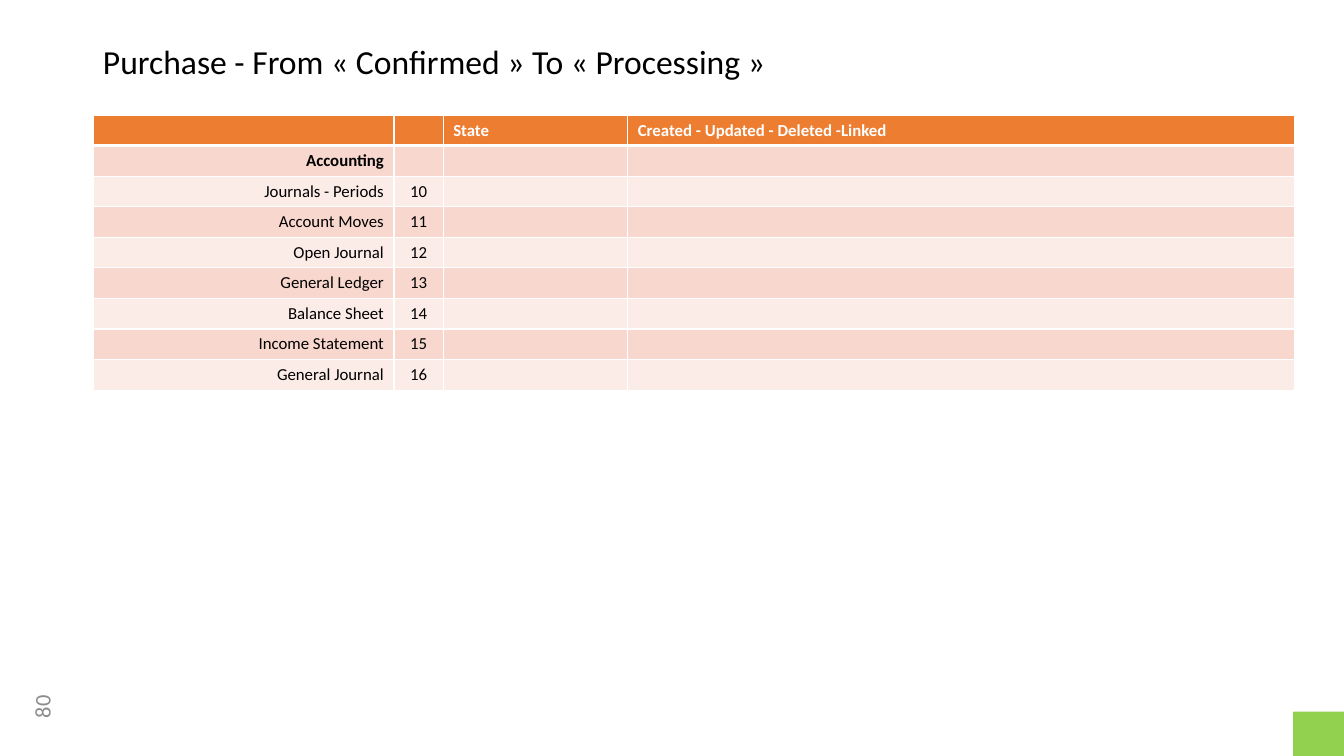
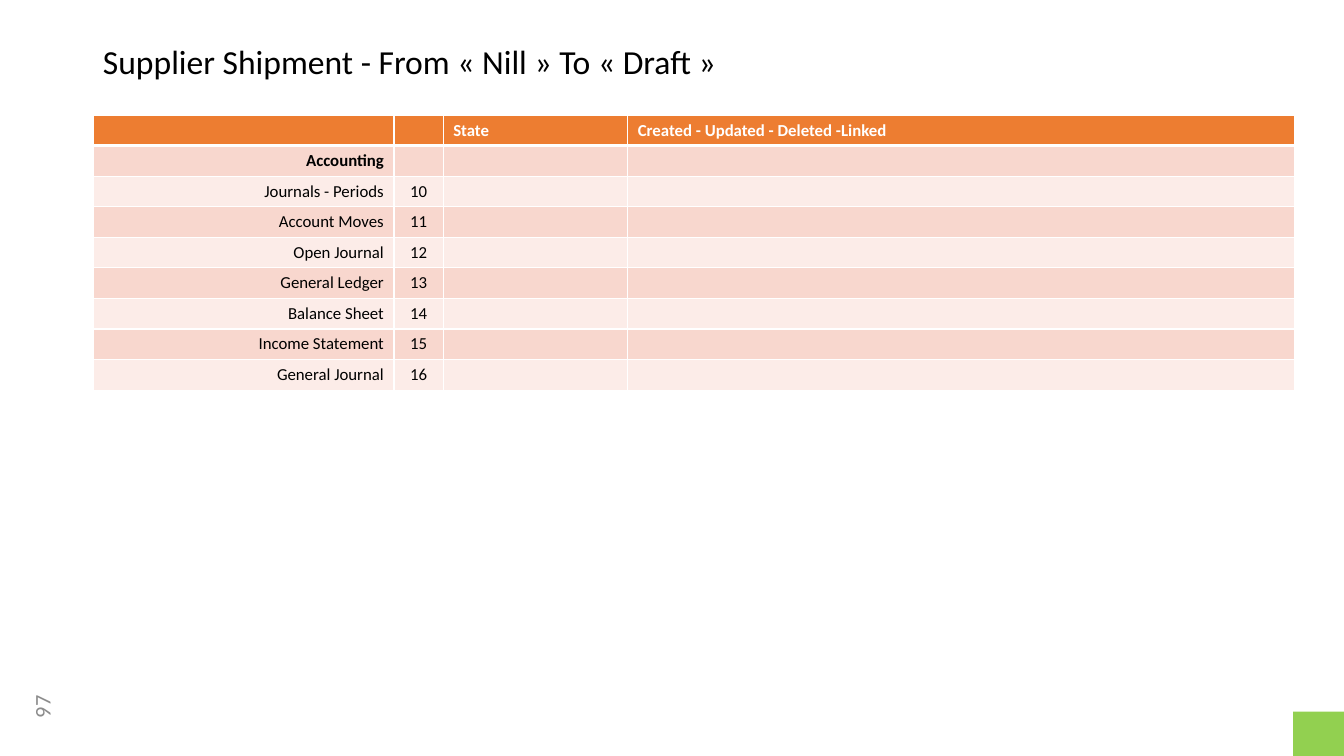
from lxml.etree import SubElement
from pptx import Presentation
from pptx.dml.color import RGBColor
from pptx.enum.shapes import MSO_SHAPE
from pptx.enum.text import MSO_ANCHOR, MSO_AUTO_SIZE, PP_ALIGN
from pptx.oxml.ns import qn
from pptx.util import Cm, Pt

FONT = "Calibri"
BLACK, WHITE, GREY = "000000", "FFFFFF", "8C8C8C"
ORANGE, GREEN = "ED7D31", "92D050"
BANDS = ["F8D7CE", "FCECE8"]

WIDTH, HEIGHT = 33.87, 19.05
TITLE = (2.34, 1.02, 29.21, 1.3)
GRID = (2.36, 2.9, 30.27, 6.93)
NUMBER = (0.1, 17.3, 1.9, 1.02)
CORNER = (WIDTH - 1.28, HEIGHT - 1.12, 1.28, 1.12)
COLS = [7.57, 1.24, 4.65, 16.81]
ALIGNS = [PP_ALIGN.RIGHT, PP_ALIGN.CENTER, PP_ALIGN.LEFT, PP_ALIGN.LEFT]

HEADS = ["", "", "State", "Created - Updated - Deleted -Linked"]
NAMES = ["Journals - Periods", "Account Moves", "Open Journal", "General Ledger",
         "Balance Sheet", "Income Statement", "General Journal"]
ROWS = [HEADS, ["Accounting", "", "", ""]]
ROWS += [[name, str(num), "", ""] for num, name in enumerate(NAMES, 10)]

PAGES = [
    ("Purchase - From « Confirmed » To « Processing »", "80"),
    ("Supplier Shipment - From « Nill » To « Draft »", "97"),
]


def paint(fmt, color):
    if hasattr(fmt, "solid"):
        fmt.solid()
        fmt = fmt.fore_color
    fmt.rgb = RGBColor.from_string(color)


def place(box):
    return [Cm(size) for size in box]


def write(frame, text, size=12, color=BLACK, bold=False, align=PP_ALIGN.LEFT,
          anchor=MSO_ANCHOR.TOP, space=None):
    frame.word_wrap = True
    frame.vertical_anchor = anchor
    para = frame.paragraphs[0]
    para.alignment = align
    if space:
        para.line_spacing = space
    if not text:
        SubElement(para._p, qn("a:endParaRPr"), sz=str(size * 100))
        return
    run = para.add_run()
    run.text = text
    run.font.name = FONT
    run.font.size = Pt(size)
    run.font.bold = bold
    paint(run.font.color, color)


def edge(cell, top, base):
    props = cell._tc.get_or_add_tcPr()
    for side, width in (("L", 1), ("R", 1), ("T", top), ("B", base)):
        line = SubElement(props, qn(f"a:ln{side}"), w=str(Pt(width)))
        fill = SubElement(line, qn("a:solidFill"))
        SubElement(fill, qn("a:srgbClr"), val=WHITE)


def add_title(slide, box, text):
    title = slide.shapes.title
    title.left, title.top, title.width, title.height = place(box)
    title.text_frame.auto_size = MSO_AUTO_SIZE.NONE
    write(title.text_frame, text, size=24, space=0.9)


def add_grid(slide, box):
    table = slide.shapes.add_table(len(ROWS), len(COLS), *place(box)).table
    table.horz_banding = False
    for col, width in zip(table.columns, COLS):
        col.width = Cm(box[2] * width / sum(COLS))
    for row in table.rows:
        row.height = Cm(box[3] / len(ROWS))
    for r, texts in enumerate(ROWS):
        head = r == 0
        for c, text in enumerate(texts):
            cell = table.cell(r, c)
            edge(cell, top=3 if r == 1 else 1, base=3 if head else 1)
            paint(cell.fill, ORANGE if head else BANDS[(r - 1) % 2])
            write(cell.text_frame, text, bold=r < 2, align=ALIGNS[c],
                  color=WHITE if head else BLACK)


def add_number(slide, box, text):
    label = slide.shapes.add_textbox(*place(box))
    label.rotation = 270
    write(label.text_frame, text, size=16, color=GREY, align=PP_ALIGN.CENTER,
          anchor=MSO_ANCHOR.MIDDLE)


def add_corner(slide, box):
    block = slide.shapes.add_shape(MSO_SHAPE.RECTANGLE, *place(box))
    block.shadow.inherit = False
    paint(block.fill, GREEN)
    block.line.fill.background()


def add_page(deck, title, number):
    slide = deck.slides.add_slide(deck.slide_layouts[5])
    add_number(slide, NUMBER, number)
    add_corner(slide, CORNER)
    add_title(slide, TITLE, title)
    add_grid(slide, GRID)


def main():
    deck = Presentation()
    deck.slide_width, deck.slide_height = Cm(WIDTH), Cm(HEIGHT)
    for title, number in PAGES:
        add_page(deck, title, number)
    deck.save("out.pptx")


if __name__ == "__main__":
    main()
